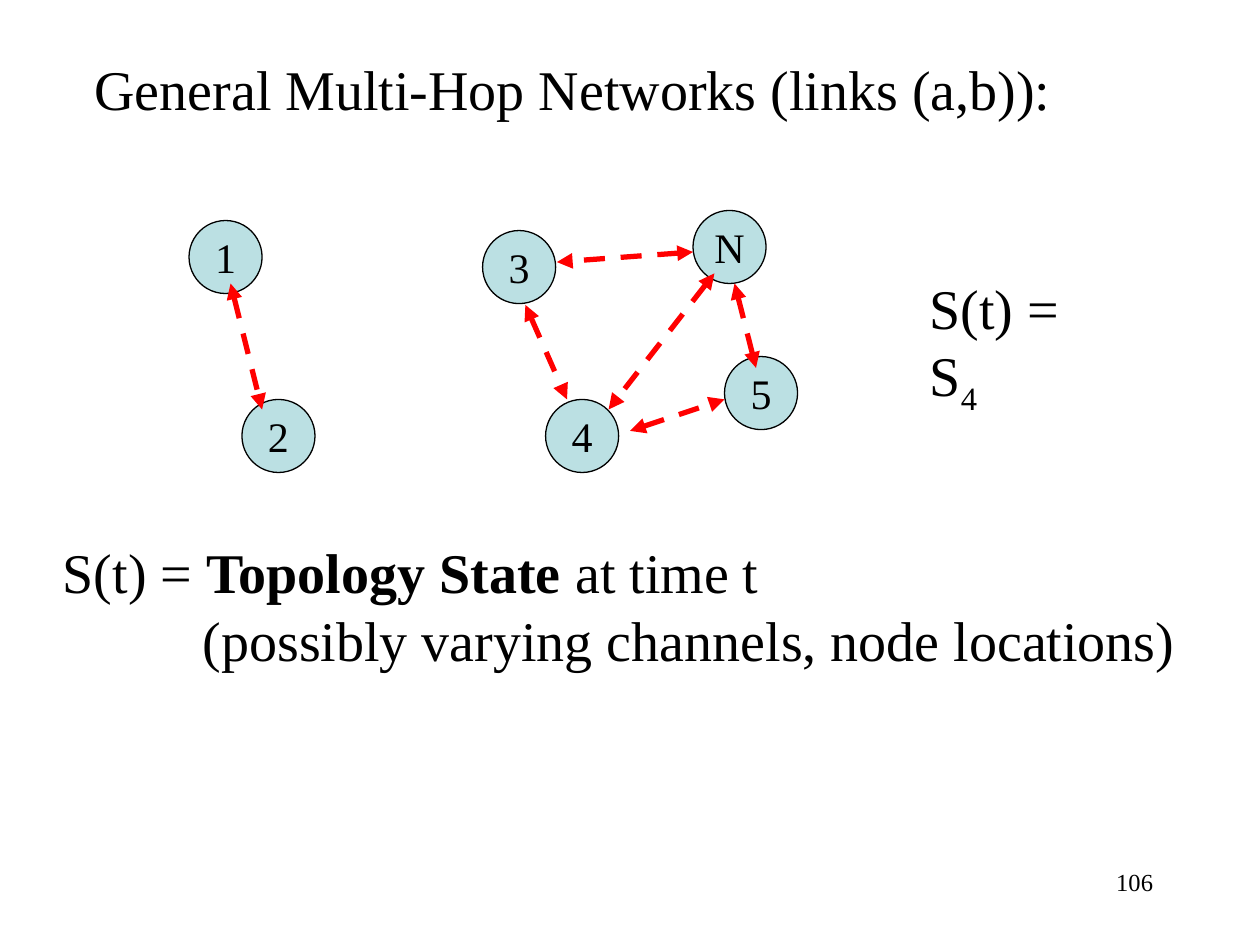
import dataclasses
import typing

import pptx
import pptx.dml.color
import pptx.enum.dml
import pptx.enum.shapes
import pptx.enum.text
import pptx.oxml.ns
import pptx.util
from lxml import etree

Inches = pptx.util.Inches
RGBColor = pptx.dml.color.RGBColor
Align = pptx.enum.text.PP_ALIGN
Anchor = pptx.enum.text.MSO_ANCHOR
Fit = pptx.enum.text.MSO_AUTO_SIZE

BLACK = RGBColor(0x00, 0x00, 0x00)
RED = RGBColor(0xFF, 0x00, 0x00)
TEAL = RGBColor(0xBB, 0xE0, 0xE3)
FONT = "Times New Roman"
SIZE = 0.58


@dataclasses.dataclass
class Node:
    name: str
    left: float
    top: float


@dataclasses.dataclass
class Link:
    x1: float
    y1: float
    x2: float
    y2: float


@dataclasses.dataclass
class Run:
    text: str
    bold: bool = False
    base: int = 0


NODES = [
    Node("1", 1.5, 1.75),
    Node("2", 1.92, 3.17),
    Node("3", 3.83, 1.83),
    Node("4", 4.33, 3.17),
    Node("N", 5.5, 1.67),
    Node("5", 5.75, 2.83),
]
LINKS = [
    Link(1.83, 2.25, 2.08, 3.25),
    Link(4.17, 2.42, 4.5, 3.17),
    Link(5.67, 2.17, 4.83, 3.25),
    Link(5.5, 2, 4.42, 2.08),
    Link(5.83, 2.25, 6, 2.92),
    Link(5, 3.42, 5.75, 3.17),
]


def add_run(para: typing.Any, part: Run, size: float) -> None:
    run = para.add_run()
    run.text = part.text
    run.font.name = FONT
    run.font.size = pptx.util.Pt(size)
    run.font.bold = part.bold
    run.font.color.rgb = BLACK
    if part.base:
        run.font._element.set("baseline", str(part.base * 1000))


def fill_text(shape: typing.Any, lines: list[list[Run]], size: float,
              align: Align = Align.LEFT, anchor: Anchor = Anchor.TOP,
              wrap: bool = False, fit: Fit = Fit.NONE) -> None:
    frame = shape.text_frame
    frame.word_wrap = wrap
    frame.auto_size = fit
    frame.vertical_anchor = anchor
    for i, line in enumerate(lines):
        para = frame.add_paragraph() if i else frame.paragraphs[0]
        para.alignment = align
        for part in line:
            add_run(para, part, size)


def add_box(slide: typing.Any, left: float, top: float, width: float,
            height: float) -> typing.Any:
    return slide.shapes.add_textbox(Inches(left), Inches(top),
                                    Inches(width), Inches(height))


def add_node(slide: typing.Any, node: Node) -> None:
    shape = slide.shapes.add_shape(
        pptx.enum.shapes.MSO_SHAPE.OVAL, Inches(node.left), Inches(node.top),
        Inches(SIZE), Inches(SIZE))
    shape.shadow.inherit = False
    shape.fill.solid()
    shape.fill.fore_color.rgb = TEAL
    shape.line.color.rgb = BLACK
    shape.line.width = pptx.util.Pt(0.75)
    fill_text(shape, [[Run(node.name)]], 24, Align.CENTER, Anchor.MIDDLE)


def add_link(slide: typing.Any, link: Link) -> None:
    line = slide.shapes.add_connector(
        pptx.enum.shapes.MSO_CONNECTOR.STRAIGHT, Inches(link.x1),
        Inches(link.y1), Inches(link.x2), Inches(link.y2))
    line.line.color.rgb = RED
    line.line.width = pptx.util.Pt(3)
    line.line.dash_style = pptx.enum.dml.MSO_LINE.DASH
    props = line._element.spPr
    stroke = props.find(pptx.oxml.ns.qn("a:ln"))
    for end in ("a:headEnd", "a:tailEnd"):
        etree.SubElement(stroke, pptx.oxml.ns.qn(end), type="triangle")
    etree.SubElement(props, pptx.oxml.ns.qn("a:effectLst"))


def main() -> None:
    deck = pptx.Presentation()
    deck.slide_width, deck.slide_height = Inches(10), Inches(7.5)
    slide = deck.slides.add_slide(deck.slide_layouts[5])

    title = slide.shapes.title
    title.left, title.top = Inches(0.65), Inches(0.38)
    title.width, title.height = Inches(7.91), Inches(0.64)
    fill_text(title, [[Run("General Multi-Hop Networks (links (a,b)):")]], 32,
              fit=Fit.SHAPE_TO_FIT_TEXT)

    for node in NODES:
        add_node(slide, node)
    for link in LINKS:
        add_link(slide, link)

    body = add_box(slide, 0.4, 4.22, 9.04, 1.17)
    fill_text(body, [
        [Run("S(t) = "), Run("Topology State", bold=True), Run(" at time t")],
        [Run("(possibly varying channels, node locations)")],
    ], 32, fit=Fit.SHAPE_TO_FIT_TEXT)
    indent = body.text_frame.paragraphs[1]._p.get_or_add_pPr()
    indent.set("marL", str(Inches(1.11)))
    indent.set("indent", "0")

    state = add_box(slide, 7.28, 2.12, 1.71, 0.71)
    fill_text(state, [[Run("S(t) = S"), Run("4", base=-25)]], 32,
              fit=Fit.SHAPE_TO_FIT_TEXT)

    page = add_box(slide, 7.17, 6.83, 2.08, 0.5)
    fill_text(page, [[Run("106")]], 14, Align.RIGHT, wrap=True)

    deck.save("out.pptx")


if __name__ == "__main__":
    main()
